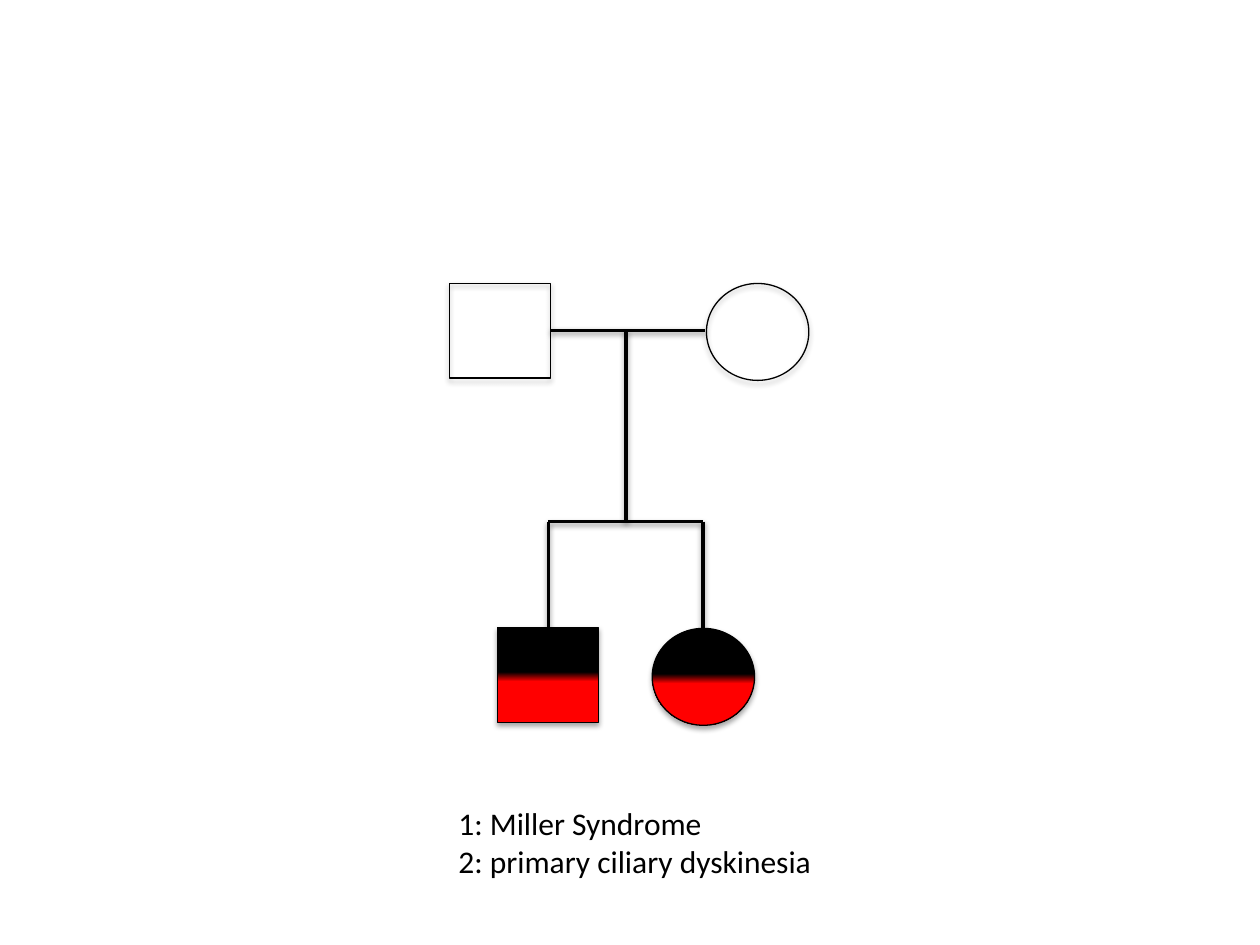
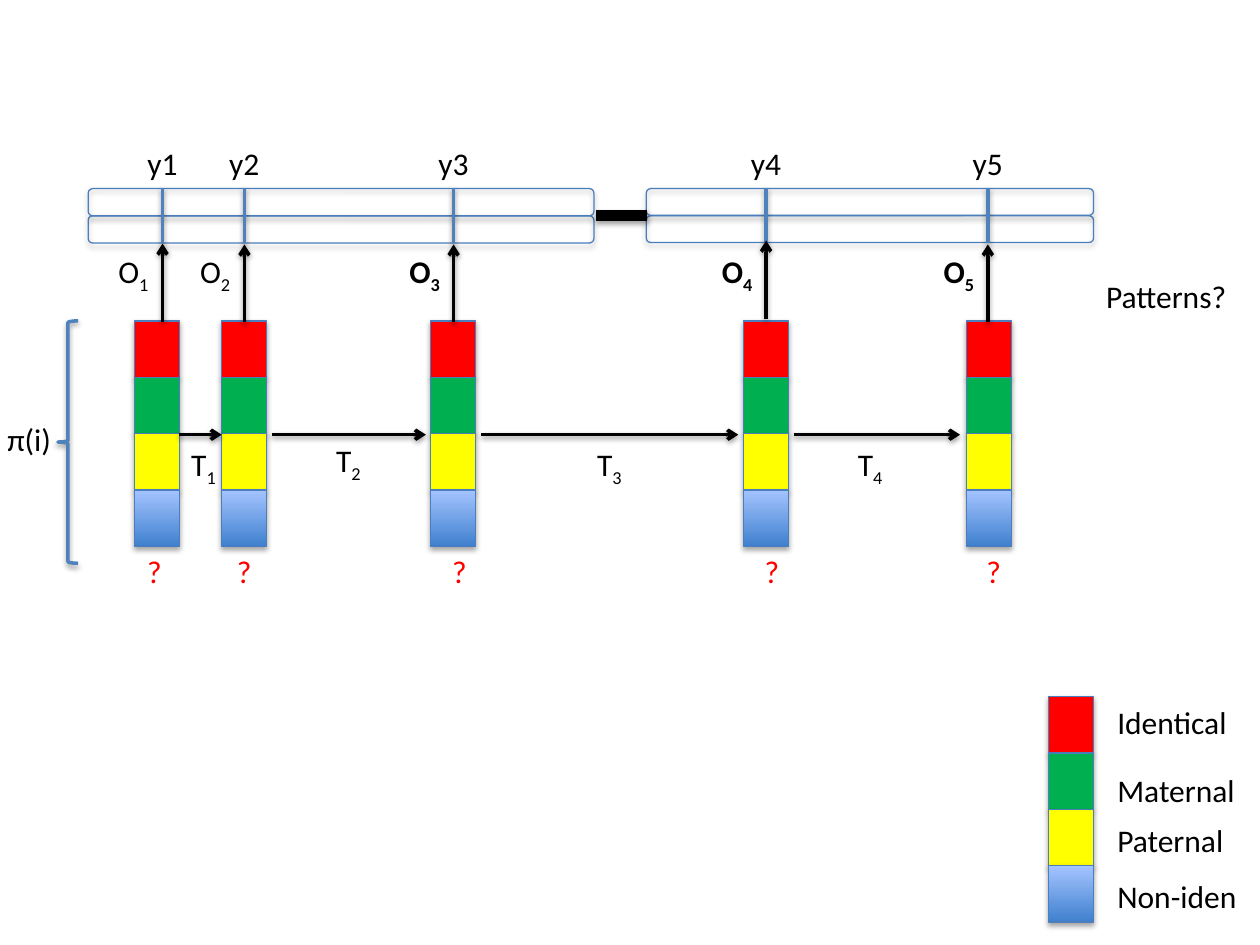
from lxml import etree
from pptx import Presentation
from pptx.dml.color import RGBColor
from pptx.enum import shapes, text
from pptx.oxml import ns
from pptx.util import Pt

BLACK = RGBColor(0x00, 0x00, 0x00)
RED = RGBColor(0xFF, 0x00, 0x00)
GREEN = RGBColor(0x00, 0xB0, 0x50)
YELLOW = RGBColor(0xFF, 0xFF, 0x00)
OUTLINE = RGBColor(0x4B, 0x7E, 0xBC)
ACCENT = RGBColor(0x4F, 0x81, 0xBD)
PALE_BLUE = RGBColor(0xA4, 0xC4, 0xFF)
DEEP_BLUE = RGBColor(0x3F, 0x80, 0xCE)

FONT = "Calibri"
TEXT_SIZE = 18
LABEL_HEIGHT = 29.08
AFFECTED = [(0, BLACK), (47, BLACK), (57, RED), (100, RED)]
STATES = [RED, GREEN, YELLOW, [(0, PALE_BLUE), (100, DEEP_BLUE)]]
STATE_WIDTH, STATE_HEIGHT = 25.7, 32.2
BAR_TOP = 183.4
TRANSITION_Y = 248.4

MARKERS = [
    ("1", 92.9, 77, 77, 139.2, False),
    ("2", 139.7, 126.7, 128.2, 139.7, False),
    ("3", 259.2, 246.2, 251.3, 139.7, True),
    ("4", 437.8, 424.8, 429.8, 137.5, True),
    ("5", 564.5, 552.2, 556.6, 139.7, True),
]
TRANSITIONS = [
    ("1", 102.2, 126.7, 102.2, 250.6),
    ("2", 155.5, 243.4, 185, 248.4),
    ("3", 275, 421.9, 334.1, 250.6),
    ("4", 453.6, 548.6, 483.1, 250.6),
]
LEGEND = [
    ("Identical", 398.2, 77),
    ("Maternal", 437, 81.4),
    ("Paternal", 465.8, 74.9),
    ("Non-iden", 497.5, 82.8),
]


def add_shadow(shape, distance, opacity):
    effects = etree.SubElement(shape.element.spPr, ns.qn("a:effectLst"))
    shadow = etree.SubElement(
        effects, ns.qn("a:outerShdw"), blurRad=str(Pt(3.1)),
        dist=str(Pt(distance)), dir="5400000", rotWithShape="0")
    colour = etree.SubElement(shadow, ns.qn("a:srgbClr"), val=str(BLACK))
    etree.SubElement(colour, ns.qn("a:alpha"), val=str(opacity * 1000))


def fill_gradient(shape, stops):
    shape.fill.gradient()
    shape.fill.gradient_angle = 270
    stop_list = shape.element.spPr.find(".//" + ns.qn("a:gsLst"))
    for stop in list(stop_list):
        stop_list.remove(stop)
    for position, colour in stops:
        stop = etree.SubElement(stop_list, ns.qn("a:gs"), pos=str(position * 1000))
        etree.SubElement(stop, ns.qn("a:srgbClr"), val=str(colour))


def add_figure(page, kind, left, top, width, height, fill=None,
               line=BLACK, weight=0.75, distance=1.8, opacity=35):
    figure = page.shapes.add_shape(kind, Pt(left), Pt(top), Pt(width), Pt(height))
    if fill is None:
        figure.fill.background()
    elif isinstance(fill, list):
        fill_gradient(figure, fill)
    else:
        figure.fill.solid()
        figure.fill.fore_color.rgb = fill
    figure.line.color.rgb = line
    figure.line.width = Pt(weight)
    add_shadow(figure, distance, opacity)


def add_line(page, start, end, colour=BLACK, weight=2, arrow=False):
    points = [Pt(value) for value in (*start, *end)]
    line = page.shapes.add_connector(shapes.MSO_CONNECTOR.STRAIGHT, *points)
    line.line.color.rgb = colour
    line.line.width = Pt(weight)
    if arrow:
        etree.SubElement(line.line._get_or_add_ln(), ns.qn("a:tailEnd"), type="arrow")
    add_shadow(line, 1.6, 38)


def add_label(page, words, left, top, width, colour=BLACK, subscript="", bold=False):
    box = page.shapes.add_textbox(Pt(left), Pt(top), Pt(width), Pt(LABEL_HEIGHT))
    frame = box.text_frame
    frame.word_wrap = False
    frame.auto_size = text.MSO_AUTO_SIZE.SHAPE_TO_FIT_TEXT
    frame.text = words
    if subscript:
        span = frame.paragraphs[0].add_run()
        span.text = subscript
        span.font._element.set("baseline", "-25000")
    for para in frame.paragraphs:
        for span in para.runs:
            span.font.name = FONT
            span.font.size = Pt(TEXT_SIZE)
            span.font.bold = bold
            span.font.color.rgb = colour
    return box


def add_state_bar(page, left, top):
    for row, fill in enumerate(STATES):
        add_figure(page, shapes.MSO_SHAPE.RECTANGLE, left, top + row * STATE_HEIGHT,
                   STATE_WIDTH, STATE_HEIGHT, fill, OUTLINE)


def add_male(page, left, top, fill=None):
    add_figure(page, shapes.MSO_SHAPE.RECTANGLE, left, top, 57.6, 54, fill)


def add_female(page, left, top, fill=None):
    add_figure(page, shapes.MSO_SHAPE.OVAL, left, top, 58.5, 55.4, fill)


def build_pedigree(page):
    couple_y, sibling_y, child_y = 188.8, 298.1, 358.7
    son_x, middle_x, daughter_x = 313.4, 357.8, 401.8
    add_male(page, 257, 162)
    add_female(page, 403.7, 162)
    add_line(page, (314.6, couple_y), (402.8, couple_y))
    add_line(page, (middle_x, couple_y), (middle_x, sibling_y))
    add_line(page, (son_x, sibling_y), (daughter_x, sibling_y))
    for child_x in (son_x, daughter_x):
        add_line(page, (child_x, sibling_y), (child_x, child_y))
    add_female(page, 372.7, 359.1, AFFECTED)
    add_male(page, 284.5, child_y, AFFECTED)
    box = add_label(page, "1: Miller Syndrome\n2: primary ciliary dyskinesia",
                    254.9, 455.8, 216)
    box.height = Pt(50.4)


def build_chromosomes(page):
    for top in (123.3, 107.8):
        for left, width, height in ((50.4, 289, 15.6), (369.3, 255.6, 15.3)):
            add_figure(page, shapes.MSO_SHAPE.ROUNDED_RECTANGLE, left, top,
                       width, height, line=OUTLINE)
    add_line(page, (340.4, 123.3), (370, 123.3), weight=6)


def build_model(page):
    add_label(page, "Patterns?", 625, 154.8, 83.5)
    build_chromosomes(page)
    for number, x, bar_left, query_left, tip_y, bold in MARKERS:
        add_line(page, (x, 107.6), (x, 139), ACCENT)
        add_label(page, "y" + number, x - 15.8, 78.5, 31.7)
        add_state_bar(page, bar_left, BAR_TOP)
        add_line(page, (x, tip_y + 44.6), (x, tip_y), arrow=True)
        add_label(page, "O", x - 32.4, 140.4, 32.4, subscript=number, bold=bold)
        add_label(page, "?", query_left, 311.8, 23, RED)
    for number, start_x, end_x, left, top in TRANSITIONS:
        add_line(page, (start_x, TRANSITION_Y), (end_x, TRANSITION_Y), arrow=True)
        add_label(page, "T", left, top, 28.8, subscript=number)
    add_label(page, "π(i)", -2.9, 236.2, 41.8)
    add_figure(page, shapes.MSO_SHAPE.LEFT_BRACE, 33.1, BAR_TOP, 11.5, 138.5,
               line=ACCENT, weight=2, distance=1.6, opacity=38)
    add_state_bar(page, 599, 398.2)
    for words, top, width in LEGEND:
        add_label(page, words, 631.4, top, width)


def main():
    deck = Presentation()
    deck.slide_width, deck.slide_height = Pt(720), Pt(540)
    for build in (build_pedigree, build_model):
        build(deck.slides.add_slide(deck.slide_layouts[6]))
    deck.save("out.pptx")


if __name__ == "__main__":
    main()
